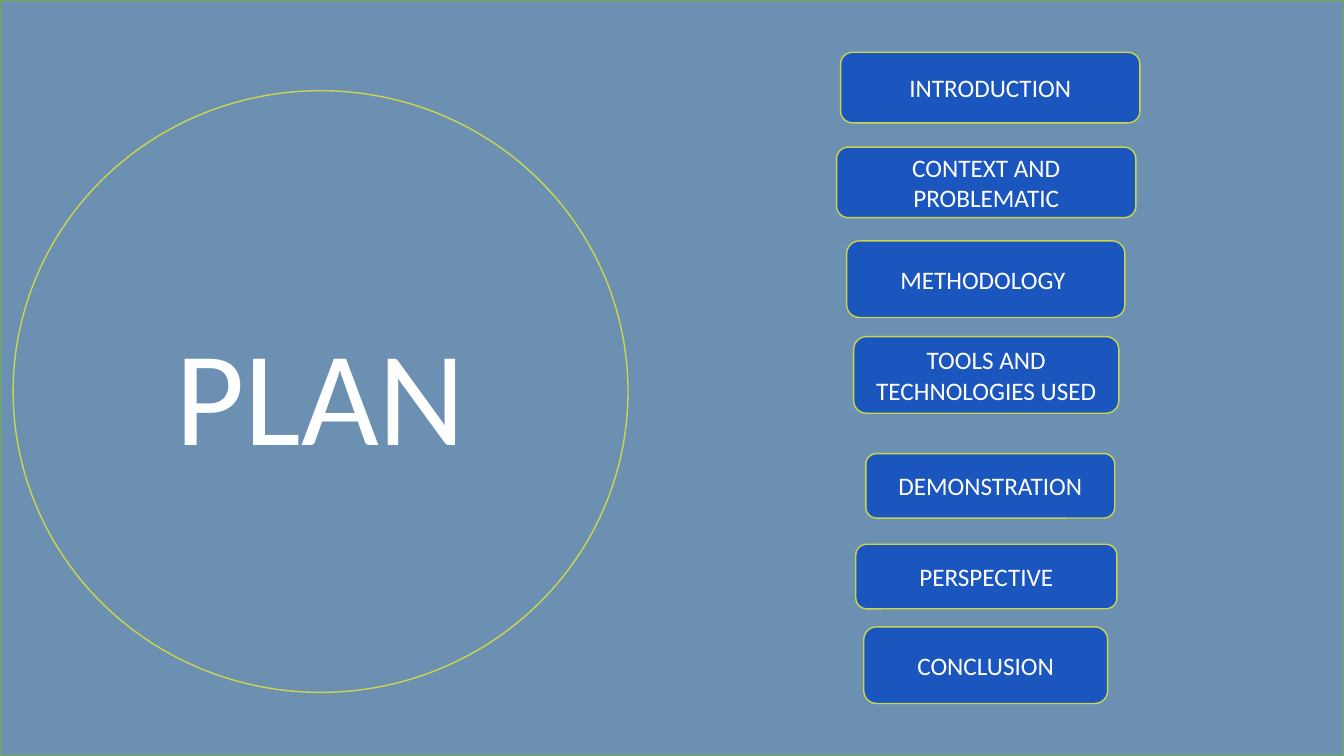
from pptx import Presentation
from pptx.dml.color import RGBColor
from pptx.enum.shapes import MSO_SHAPE
from pptx.enum.text import MSO_ANCHOR, PP_ALIGN
from pptx.util import Pt

RECT, OVAL, ROUNDED = MSO_SHAPE.RECTANGLE, MSO_SHAPE.OVAL, MSO_SHAPE.ROUNDED_RECTANGLE
MIDDLE, CENTER = MSO_ANCHOR.MIDDLE, PP_ALIGN.CENTER

STEEL = RGBColor(0x6B, 0x90, 0xB2)
GREEN = RGBColor(0x70, 0xAD, 0x47)
LIME = RGBColor(0xCC, 0xD6, 0x4D)
BLUE = RGBColor(0x1B, 0x55, 0xBE)
WHITE = RGBColor(0xFF, 0xFF, 0xFF)

# Content: heading, then the sections with left, top, width, height in points
WIDTH, HEIGHT = 960, 540
TITLE = "PLAN"
CIRCLE = (9.4, 64.8, 439.2, 429.8)
SECTIONS = [
    ("INTRODUCTION", (600.5, 37.4, 213.8, 50.4)),
    ("CONTEXT AND PROBLEMATIC", (597.6, 105.1, 213.8, 50.4)),
    ("METHODOLOGY ", (604.8, 172.1, 198.7, 54.7)),
    ("TOOLS AND TECHNOLOGIES USED", (609.8, 240.5, 189.4, 54.7)),
    ("DEMONSTRATION", (618.5, 324, 177.8, 46.1)),
    ("PERSPECTIVE", (611.3, 388.8, 186.5, 46.1)),
    ("CONCLUSION", (617, 447.8, 174.2, 54.7)),
]


def write(sp, text, size=18, color=WHITE, font="Calibri"):
    tf = sp.text_frame
    tf.word_wrap = True
    tf.vertical_anchor = MIDDLE
    p = tf.paragraphs[0]
    p.alignment = CENTER
    r = p.add_run()
    r.text = text
    r.font.size, r.font.name = Pt(size), font
    r.font.color.rgb = color


def add_box(s, kind, box, line, fill=None):
    sp = s.shapes.add_shape(kind, *map(Pt, box))
    sp.shadow.inherit = False
    if fill is None:
        sp.fill.background()
    else:
        sp.fill.solid()
        sp.fill.fore_color.rgb = fill
    sp.line.color.rgb = line
    sp.line.width = Pt(1)
    return sp


def main():
    prs = Presentation()
    prs.slide_width, prs.slide_height = Pt(WIDTH), Pt(HEIGHT)
    s = prs.slides.add_slide(prs.slide_layouts[5])

    # Backdrop and circle
    add_box(s, RECT, (0, 0, WIDTH, HEIGHT), GREEN, STEEL)
    add_box(s, OVAL, CIRCLE, LIME)

    # Title, centred in the circle and raised above the backdrop
    title = s.shapes.title
    title.left, title.top, title.width, title.height = map(Pt, CIRCLE)
    write(title, TITLE, size=96)
    title.element.getparent().append(title.element)

    # Section boxes
    for text, box in SECTIONS:
        write(add_box(s, ROUNDED, box, LIME, BLUE), text)

    prs.save("out.pptx")


if __name__ == "__main__":
    main()
